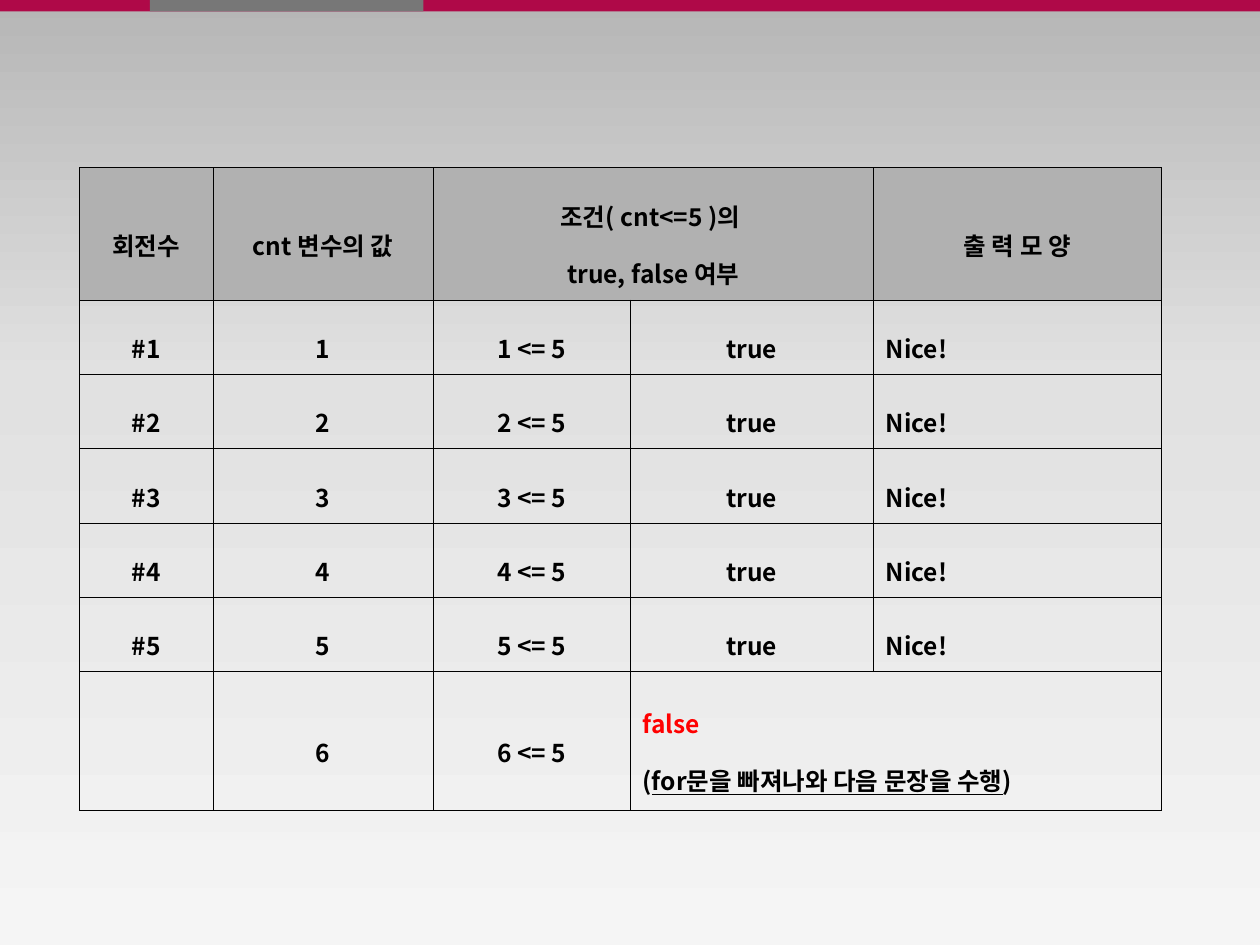
import copy

import pptx
import pptx.dml.color
import pptx.enum.shapes
import pptx.enum.text
import pptx.oxml
import pptx.oxml.ns
import pptx.util

Inches = pptx.util.Inches
RGBColor = pptx.dml.color.RGBColor
Align = pptx.enum.text.PP_ALIGN
qn = pptx.oxml.ns.qn

FONT = "Noto Sans CJK KR"
BLACK = RGBColor(0x00, 0x00, 0x00)
RED = RGBColor(0xFF, 0x00, 0x00)
CRIMSON = RGBColor(0xAF, 0x09, 0x48)
DARK_GRAY = RGBColor(0x77, 0x77, 0x77)
HEADER_GRAY = RGBColor(0xB1, 0xB1, 0xB1)
BACKGROUND_STOPS = [
    (0, RGBColor(0xB6, 0xB6, 0xB6)),
    (0.4, RGBColor(0xE1, 0xE1, 0xE1)),
    (1, RGBColor(0xF5, 0xF5, 0xF5)),
]

COLUMN_WIDTHS = [1.06, 1.75, 1.56, 1.93, 2.29]
ROW_HEIGHTS = [1.05] + [0.59] * 5 + [1.1]
LIMIT = 5


def set_background(slide):
    fill = slide.background.fill
    fill.gradient()
    fill.gradient_angle = 270
    stop_list = slide.element.find(".//" + qn("a:gsLst"))
    stop_list.append(copy.deepcopy(stop_list[0]))
    for stop, (position, color) in zip(fill.gradient_stops, BACKGROUND_STOPS):
        stop.position = position
        stop.color.rgb = color


def add_bar(slide, left, width, color):
    bar = slide.shapes.add_shape(
        pptx.enum.shapes.MSO_SHAPE.RECTANGLE,
        Inches(left), Inches(0), Inches(width), Inches(0.09))
    bar.shadow.inherit = False
    bar.fill.solid()
    bar.fill.fore_color.rgb = color
    bar.line.fill.background()


def add_run(paragraph, text, color=BLACK, underline=None):
    run = paragraph.add_run()
    run.text = text
    font = run.font
    font.name = FONT
    font.size = pptx.util.Pt(14)
    font.bold = True
    font.underline = underline
    font.color.rgb = color
    latin = run._r.rPr.find(qn("a:latin"))
    east_asian = copy.deepcopy(latin)
    east_asian.tag = qn("a:ea")
    latin.addnext(east_asian)


def write_cell(cell, paragraphs, alignments):
    frame = cell.text_frame
    for index, (runs, alignment) in enumerate(zip(paragraphs, alignments)):
        paragraph = frame.add_paragraph() if index else frame.paragraphs[0]
        paragraph.alignment = alignment
        paragraph.line_spacing = 1.6
        for run in runs:
            add_run(paragraph, *run)


def write_centered(cell, *lines):
    write_cell(cell, [[(line,)] for line in lines], [Align.CENTER] * len(lines))


def style_cell(cell, color):
    cell.vertical_anchor = pptx.enum.text.MSO_ANCHOR.MIDDLE
    properties = cell._tc.get_or_add_tcPr()
    for side in ("lnL", "lnR", "lnT", "lnB"):
        properties.append(pptx.oxml.parse_xml(
            f'<a:{side} {pptx.oxml.ns.nsdecls("a")} w="3556"><a:solidFill>'
            f'<a:srgbClr val="{BLACK}"/></a:solidFill></a:{side}>'))
    if color is None:
        cell.fill.background()
    else:
        cell.fill.solid()
        cell.fill.fore_color.rgb = color


def add_loop_table(slide):
    table = slide.shapes.add_table(
        len(ROW_HEIGHTS), len(COLUMN_WIDTHS), Inches(0.63), Inches(1.33),
        Inches(sum(COLUMN_WIDTHS)), Inches(sum(ROW_HEIGHTS))).table
    table.first_row = False
    table.horz_banding = False
    for column, width in zip(table.columns, COLUMN_WIDTHS):
        column.width = Inches(width)
    for index, (row, height) in enumerate(zip(table.rows, ROW_HEIGHTS)):
        row.height = Inches(height)
        for cell in row.cells:
            style_cell(cell, None if index else HEADER_GRAY)
    last = len(ROW_HEIGHTS) - 1
    table.cell(0, 2).merge(table.cell(0, 3))
    table.cell(last, 3).merge(table.cell(last, 4))
    return table


def fill_loop_table(table):
    write_centered(table.cell(0, 0), "회전수")
    write_centered(table.cell(0, 1), "cnt 변수의 값")
    write_centered(table.cell(0, 2), "조건( cnt<=5 )의 ", "true, false 여부")
    write_centered(table.cell(0, 4), "출 력 모 양")
    for count in range(1, LIMIT + 2):
        write_centered(table.cell(count, 1), str(count))
        write_centered(table.cell(count, 2), f"{count} <= {LIMIT}")
        if count <= LIMIT:
            write_centered(table.cell(count, 0), f"#{count}")
            write_centered(table.cell(count, 3), "true")
            write_cell(table.cell(count, 4), [[("Nice!",)]], [Align.JUSTIFY])
    explanation = [("(",), ("for문을 빠져나와 다음 문장을 수행", BLACK, True), (")",)]
    write_cell(table.cell(LIMIT + 1, 3), [[("false", RED)], explanation],
               [Align.LEFT, Align.JUSTIFY])


def main():
    presentation = pptx.Presentation()
    presentation.slide_width = Inches(10)
    presentation.slide_height = Inches(7.5)
    slide = presentation.slides.add_slide(presentation.slide_layouts[6])
    set_background(slide)
    add_bar(slide, 0, 10, CRIMSON)
    add_bar(slide, 1.19, 2.17, DARK_GRAY)
    fill_loop_table(add_loop_table(slide))
    presentation.save("out.pptx")


if __name__ == "__main__":
    main()
